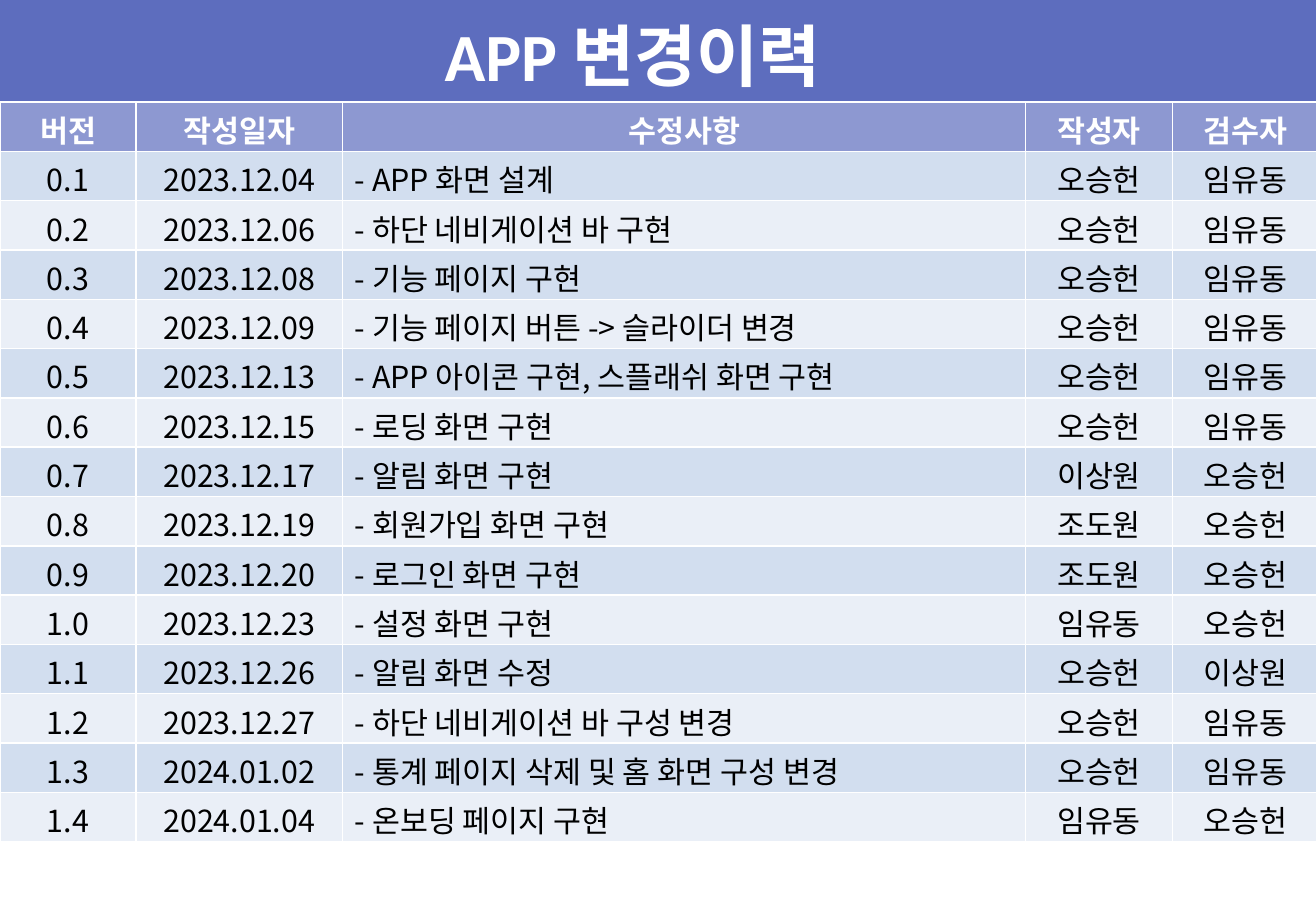
from lxml import etree
from pptx import Presentation, util as u
from pptx.dml.color import RGBColor
from pptx.enum import shapes, text
from pptx.oxml.ns import qn

COLORS = {"indigo": "5D6DBE", "white": "FFFFFF", "black": "000000",
          "odd": "D2DEEF", "even": "EAEFF7"}
BODY_FONT = "Noto Sans CJK KR"
BANNER_HEIGHT = 0.84
TABLE_HEIGHT = 6.09
COLUMN_WIDTHS = [1.12, 1.7, 5.62, 1.21, 1.2]
CHANGES_COLUMN = 2

HEADER = ["버전", "작성일자", "수정사항", "작성자", "검수자"]
HISTORY = [
    ["0.1", "2023.12.04", "- APP 화면 설계", "오승헌", "임유동"],
    ["0.2", "2023.12.06", "- 하단 네비게이션 바 구현", "오승헌", "임유동"],
    ["0.3", "2023.12.08", "- 기능 페이지 구현", "오승헌", "임유동"],
    ["0.4", "2023.12.09", "- 기능 페이지 버튼 -> 슬라이더 변경", "오승헌", "임유동"],
    ["0.5", "2023.12.13", "- APP 아이콘 구현, 스플래쉬 화면 구현", "오승헌", "임유동"],
    ["0.6", "2023.12.15", "- 로딩 화면 구현", "오승헌", "임유동"],
    ["0.7", "2023.12.17", "- 알림 화면 구현", "이상원", "오승헌"],
    ["0.8", "2023.12.19", "- 회원가입 화면 구현", "조도원", "오승헌"],
    ["0.9", "2023.12.20", "- 로그인 화면 구현", "조도원", "오승헌"],
    ["1.0", "2023.12.23", "- 설정 화면 구현", "임유동", "오승헌"],
    ["1.1", "2023.12.26", "- 알림 화면 수정", "오승헌", "이상원"],
    ["1.2", "2023.12.27", "- 하단 네비게이션 바 구성 변경", "오승헌", "임유동"],
    ["1.3", "2024.01.02", "- 통계 페이지 삭제 및 홈 화면 구성 변경", "오승헌", "임유동"],
    ["1.4", "2024.01.04", "- 온보딩 페이지 구현", "임유동", "오승헌"],
]


def add_run(paragraph, content, size, font_name, color, bold):
    run = paragraph.add_run()
    run.text = content
    run.font.size = u.Pt(size)
    run.font.name = font_name
    run.font.bold = bold
    run.font.color.rgb = RGBColor.from_string(COLORS[color])
    return run


presentation = Presentation()
presentation.slide_width = u.Inches(10.83)
presentation.slide_height = u.Inches(7.5)
slide = presentation.slides.add_slide(presentation.slide_layouts[6])

# Title banner
banner = slide.shapes.add_shape(shapes.MSO_SHAPE.RECTANGLE, 0, 0,
                                presentation.slide_width, u.Inches(BANNER_HEIGHT))
banner.shadow.inherit = False
banner.fill.solid()
banner.fill.fore_color.rgb = RGBColor.from_string(COLORS["indigo"])
banner.line.fill.background()

title = slide.shapes.add_textbox(u.Inches(3.56), u.Inches(0.07),
                                 u.Inches(3.71), u.Inches(0.77))
title.text_frame.word_wrap = True
add_run(title.text_frame.paragraphs[0], "APP 변경이력", 40, "Calibri", "white", True)

# Change history: the default table style draws the white rules
rows = [HEADER] + HISTORY
table = slide.shapes.add_table(
    len(rows), len(HEADER), 0, u.Inches(BANNER_HEIGHT),
    u.Inches(sum(COLUMN_WIDTHS)), u.Inches(TABLE_HEIGHT)).table
for column, width in zip(table.columns, COLUMN_WIDTHS):
    column.width = u.Inches(width)

for row_index, values in enumerate(rows):
    is_header = row_index == 0
    fill = "indigo" if is_header else ("odd" if row_index % 2 else "even")
    for column_index, value in enumerate(values):
        cell = table.cell(row_index, column_index)
        cell.vertical_anchor = text.MSO_ANCHOR.MIDDLE
        cell.margin_top, cell.margin_bottom = u.Inches(0.04), 0
        cell.fill.solid()
        cell.fill.fore_color.rgb = RGBColor.from_string(COLORS[fill])
        if is_header:
            fill_color = cell.fill._xPr.find(".//" + qn("a:srgbClr"))
            etree.SubElement(fill_color, qn("a:alpha"), val="70000")
        paragraph = cell.text_frame.paragraphs[0]
        if is_header or column_index != CHANGES_COLUMN:
            paragraph.alignment = text.PP_ALIGN.CENTER
        run = add_run(paragraph, value, 18, BODY_FONT,
                      "white" if is_header else "black", is_header)
        etree.SubElement(run.font._element, qn("a:ea"), typeface=BODY_FONT)

presentation.save("out.pptx")
